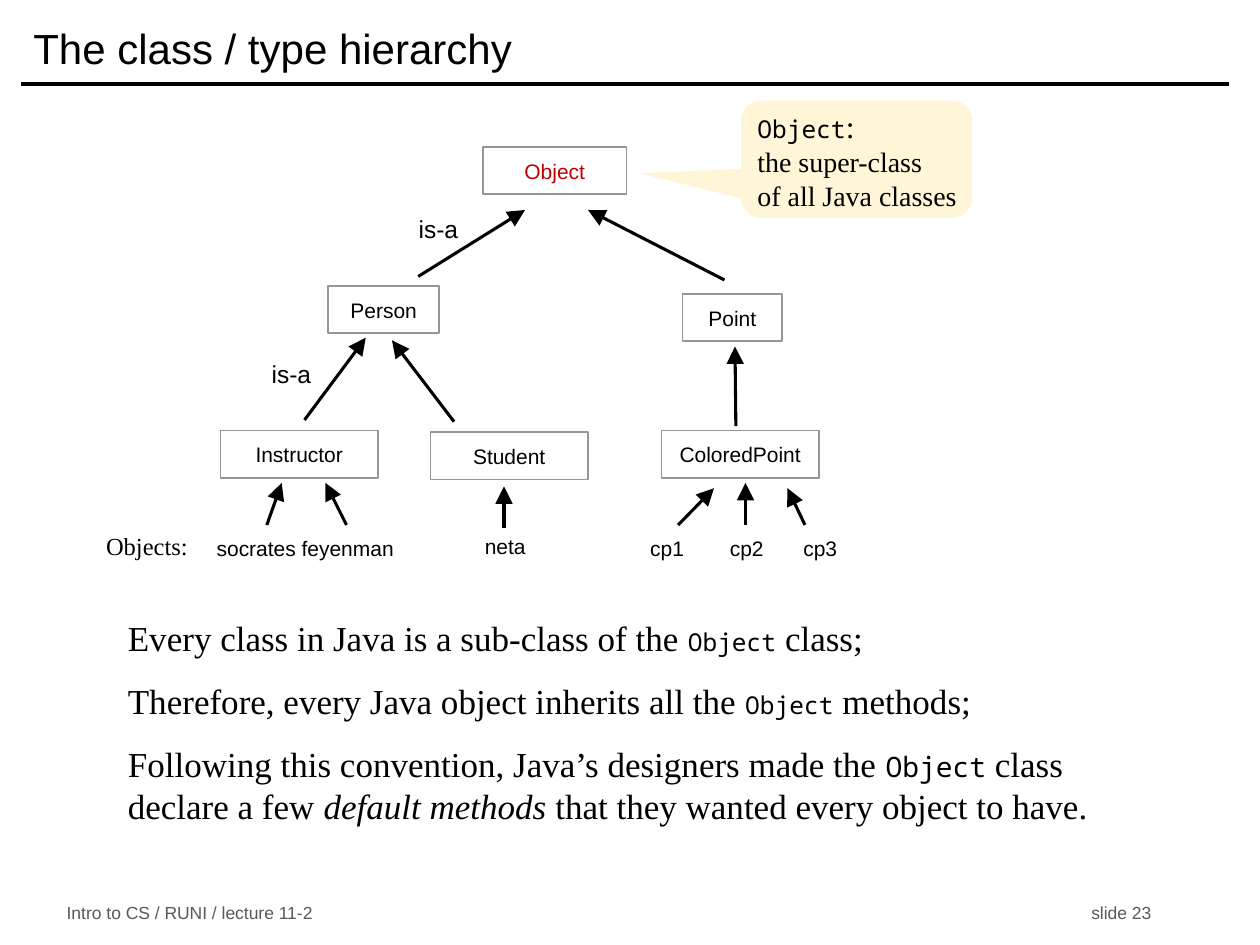
"""Build the class hierarchy slide."""
from dataclasses import dataclass
from typing import Optional

from lxml.etree import SubElement
from pptx import Presentation
from pptx.dml.color import RGBColor as RGB
from pptx.enum.shapes import MSO_CONNECTOR as CONN, MSO_SHAPE as SHAPE
from pptx.enum.text import MSO_ANCHOR as ANCHOR, PP_ALIGN as ALIGN
from pptx.oxml.ns import qn
from pptx.util import Pt


@dataclass(frozen=True)
class Style:
    font: str
    size: float
    color: RGB = RGB(0, 0, 0)
    italic: bool = False


@dataclass(frozen=True)
class Theme:
    sans: str = "Arial"
    serif: str = "Times New Roman"
    mono: str = "Noto Sans Mono"
    black: RGB = RGB(0, 0, 0)
    border: RGB = RGB(0x96, 0x96, 0x96)
    accent: RGB = RGB(0xC0, 0, 0)
    muted: RGB = RGB(0x59, 0x59, 0x59)
    callout: RGB = RGB(0xFF, 0xF5, 0xD7)
    title: float = 24
    body: float = 20
    colon: float = 18
    note: float = 16
    label: float = 14
    node: float = 12
    footer: float = 10


T = Theme()
NODE = Style(T.sans, T.node)
ROOT = Style(T.sans, T.node, T.accent)
LABEL = Style(T.sans, T.label)
FOOTER = Style(T.sans, T.footer, T.muted)
BODY = Style(T.serif, T.body)
EMPHASIS = Style(T.serif, T.body, italic=True)
NOTE = Style(T.serif, T.note)
CODE = Style(T.mono, T.label)
BIG_CODE = Style(T.mono, T.note)
MARGINS = (7.2, 3.6, 7.2, 3.6)


@dataclass(frozen=True)
class Run:
    text: str
    style: Style


@dataclass(frozen=True)
class Box:
    text: str
    x: float
    y: float
    w: float
    h: float = 27
    style: Style = NODE


@dataclass(frozen=True)
class Line:
    x1: float
    y1: float
    x2: float
    y2: float
    width: float = 1.75
    arrow: bool = True


CLASSES = [
    Box("Object", 276, 84, 82, style=ROOT),
    Box("Person", 187.5, 163.5, 63.5),
    Box("Point", 390, 168, 57),
    Box("Instructor", 126, 246, 90),
    Box("Student", 246, 247, 90),
    Box("ColoredPoint", 378, 246, 90),
]
OBJECTS = [
    Box("socrates", 125.25, 300, 42.5, 26),
    Box("feyenman", 180, 300, 37.5, 26),
    Box("neta", 270, 299, 37.5, 26),
    Box("cp1", 360, 300, 42.5, 26),
    Box("cp2", 408, 300, 37.5, 26),
    Box("cp3", 450, 300, 37.5, 26),
]
RELATIONS = [Box("is-a", 222, 117, 57, style=LABEL),
             Box("is-a", 138, 200, 57, style=LABEL)]
LINES = [
    Line(12, 48, 702, 48, 2, False),
    Line(239, 158, 300, 120),
    Line(414, 160, 336, 120),
    Line(174, 240, 209, 193),
    Line(259.5, 241, 224, 194.5),
    Line(420.5, 243.5, 420, 198),
    Line(152.5, 300, 161, 276),
    Line(198, 300, 186, 276),
    Line(288, 302, 288, 278),
    Line(387.5, 300, 408, 279),
    Line(426, 300, 426, 276),
    Line(460, 300, 450, 279),
]
PARAGRAPHS = [
    [Run("Every class in Java is a sub-class of the ", BODY), Run("Object", CODE),
     Run(" class;", BODY)],
    [Run("Therefore, every Java object inherits all the ", BODY), Run("Object", CODE),
     Run(" methods;", BODY)],
    [Run("Following this convention, Java’s designers made the ", BODY),
     Run("Object", BIG_CODE), Run(" class declare a few ", BODY),
     Run("default methods", EMPHASIS),
     Run(" that they wanted every object to have.", BODY)],
]
CALLOUT = [Run("Object", CODE), Run(":\n", Style(T.serif, T.colon)),
           Run("the super-class\nof all Java classes", NOTE)]


def set_font(font, style: Style) -> None:
    """Apply a style to a font."""
    font.name, font.size, font.italic = style.font, Pt(style.size), style.italic
    font.color.rgb = style.color


def write(p, runs: list[Run], align=ALIGN.LEFT) -> None:
    """Write runs into a paragraph, breaking lines at newlines."""
    p.alignment = align
    shared = len({run.style for run in runs}) == 1
    for run in runs:
        for i, piece in enumerate(run.text.split("\n")):
            if i:
                p.add_line_break()
            if piece:
                r = p.add_run()
                r.text = piece
                if not shared:
                    set_font(r.font, run.style)
    if shared:
        set_font(p.font, runs[0].style)


def frame(sp, margins=(0, 0, 0, 0), wrap: bool = True, anchor=ANCHOR.MIDDLE):
    """Set up and return the text frame of a shape."""
    tf = sp.text_frame
    tf.word_wrap, tf.vertical_anchor = wrap, anchor
    tf.margin_left, tf.margin_top, tf.margin_right, tf.margin_bottom = map(Pt, margins)
    return tf


def add_text(s, box: Box, align=ALIGN.LEFT, margins=MARGINS) -> None:
    """Add a text box of one paragraph."""
    sp = s.shapes.add_textbox(Pt(box.x), Pt(box.y), Pt(box.w), Pt(box.h))
    write(frame(sp, margins).paragraphs[0], [Run(box.text, box.style)], align)


def add_shape(s, kind, box: Box, fill: Optional[RGB] = None, line: Optional[RGB] = None):
    """Add a preset shape without shadow or text."""
    sp = s.shapes.add_shape(kind, Pt(box.x), Pt(box.y), Pt(box.w), Pt(box.h))
    sp.shadow.inherit = False
    if fill is None:
        sp.fill.background()
    else:
        sp.fill.solid()
        sp.fill.fore_color.rgb = fill
    if line is None:
        sp.line.fill.background()
    else:
        sp.line.color.rgb, sp.line.width = line, Pt(1)
    return sp


def add_node(s, kind, box: Box, line: Optional[RGB] = None) -> None:
    """Add a shape with a centred name."""
    tf = frame(add_shape(s, kind, box, line=line), wrap=line is not None)
    write(tf.paragraphs[0], [Run(box.text, box.style)], ALIGN.CENTER)


def add_line(s, line: Line) -> None:
    """Add a straight line or arrow."""
    c = s.shapes.add_connector(CONN.STRAIGHT, *map(Pt, (line.x1, line.y1, line.x2, line.y2)))
    c.line.color.rgb, c.line.width = T.black, Pt(line.width)
    if line.arrow:
        SubElement(c.line._get_or_add_ln(), qn("a:tailEnd"), type="triangle", w="lg", len="lg")
    SubElement(c._element.spPr, qn("a:effectLst"))


def main() -> None:
    """Build and save the slide."""
    prs = Presentation()
    prs.slide_width, prs.slide_height = Pt(720), Pt(540)
    s = prs.slides.add_slide(prs.slide_layouts[6])
    add_text(s, Box("The class / type hierarchy", 12, 6, 690, 42, Style(T.sans, T.title)))
    add_text(s, Box("Intro to CS / RUNI / lecture 11-2", 31, 514, 300, 15, FOOTER))
    add_text(s, Box("slide 23", 565, 514, 100, 15, FOOTER), ALIGN.RIGHT)
    add_text(s, Box("Objects:", 53.5, 300, 62, 24, Style(T.serif, T.label)))
    for line in LINES:
        add_line(s, line)
    for box in CLASSES:
        add_node(s, SHAPE.RECTANGLE, box, T.border)
    for box in OBJECTS:
        add_node(s, SHAPE.OVAL, box)
    for box in RELATIONS:
        add_text(s, box, ALIGN.CENTER, (0, 0, 0, 0))

    sp = add_shape(s, SHAPE.ROUNDED_RECTANGULAR_CALLOUT, Box("", 423.5, 57.5, 132, 67), T.callout)
    for i, value in enumerate((-0.94, 0.12, 0.17)):
        sp.adjustments[i] = value
    write(frame(sp, (6, 3.6, 0, 3.6)).paragraphs[0], CALLOUT)

    sp = s.shapes.add_textbox(Pt(66), Pt(349), Pt(600), Pt(145))
    tf = frame(sp, MARGINS, anchor=ANCHOR.TOP)
    for i, runs in enumerate(PARAGRAPHS):
        p = tf.add_paragraph() if i else tf.paragraphs[0]
        p.space_before = Pt(12 if i else 0)
        write(p, runs)
    prs.save("out.pptx")


if __name__ == "__main__":
    main()
